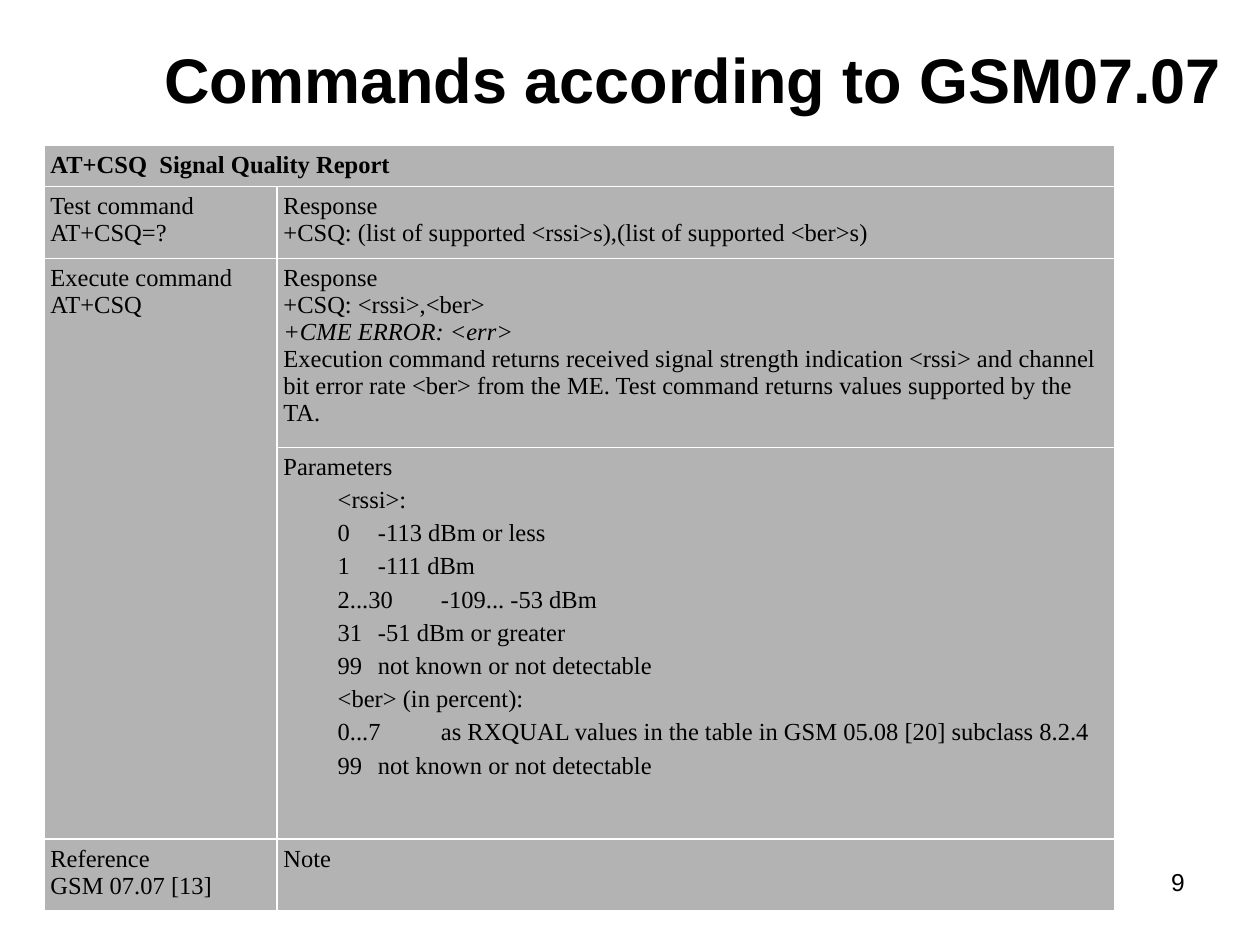
from dataclasses import dataclass

from lxml.etree import SubElement
from pptx import Presentation
from pptx.dml.color import RGBColor
from pptx.enum.text import MSO_ANCHOR, MSO_AUTO_SIZE, PP_ALIGN
from pptx.oxml.ns import qn
from pptx.util import Pt


@dataclass(frozen=True)
class Theme:
    ink: str = "000000"
    cell: str = "B3B3B3"
    border: str = "FFFFFF"
    title_size: float = 36
    text_size: float = 14
    border_width: float = 0.96
    heading_font: str = "Arial"
    table_font: str = "Times New Roman"


theme = Theme()


def write(frame, text, font=theme.table_font, size=theme.text_size, bold=False,
          italic=False, align=None, listed=False):
    """Put one paragraph into the frame, using its first one while empty."""
    first = frame.paragraphs[0]
    paragraph = frame.add_paragraph() if first.runs else first
    if align is not None:
        paragraph.alignment = align
    if listed:
        paragraph.level = 1
        paragraph.space_before = Pt(3.5)
        properties = paragraph._p.get_or_add_pPr()
        properties.set("marL", str(Pt(54)))
        properties.set("indent", str(Pt(-23)))
        SubElement(properties, qn("a:buNone"))
        stops = SubElement(properties, qn("a:tabLst"))
        for inch in range(8):
            SubElement(stops, qn("a:tab"), pos=str(Pt(72 * inch)), algn="l")
    run = paragraph.add_run()
    run.text = text
    run.font.name = font
    run.font.size = Pt(size)
    run.font.bold = bold
    run.font.italic = italic
    run.font.color.rgb = RGBColor.from_string(theme.ink)


def style_cell(cell):
    """Give a cell its margins, white borders and grey fill."""
    cell.margin_left = cell.margin_right = Pt(3.6)
    cell.margin_top = cell.margin_bottom = Pt(3.6)
    properties = cell._tc.get_or_add_tcPr()
    for side in ("lnL", "lnR", "lnT", "lnB"):
        line = SubElement(properties, qn(f"a:{side}"), w=str(Pt(theme.border_width)))
        fill = SubElement(line, qn("a:solidFill"))
        SubElement(fill, qn("a:srgbClr"), val=theme.border)
    cell.fill.solid()
    cell.fill.fore_color.rgb = RGBColor.from_string(theme.cell)


presentation = Presentation()
presentation.slide_width, presentation.slide_height = Pt(720), Pt(540)
slide = presentation.slides.add_slide(presentation.slide_layouts[5])

# Title
title = slide.shapes.title
title.left, title.top, title.width, title.height = Pt(72), Pt(0), Pt(648), Pt(90)
title.text_frame.auto_size = MSO_AUTO_SIZE.NONE
title.text_frame.vertical_anchor = MSO_ANCHOR.MIDDLE
write(title.text_frame, "Commands according to GSM07.07", font=theme.heading_font,
      size=theme.title_size, bold=True, align=PP_ALIGN.CENTER)

# Command table: column widths, row heights, merged areas
column_widths = (133.2, 478.8)
row_heights = (23.8, 41, 108, 224, 41)
commands = slide.shapes.add_table(
    len(row_heights), len(column_widths), Pt(25.2), Pt(82.8),
    Pt(sum(column_widths)), Pt(sum(row_heights))).table
for column, width in zip(commands.columns, column_widths):
    column.width = Pt(width)
for row, height in zip(commands.rows, row_heights):
    row.height = Pt(height)
for cell in commands.iter_cells():
    style_cell(cell)
commands.cell(0, 0).merge(commands.cell(0, 1))
commands.cell(2, 0).merge(commands.cell(3, 0))

# Command texts by row and column
plain, heading = {}, {"bold": True}
error, listed = {"italic": True}, {"listed": True}
command_texts = {
    (0, 0): [("AT+CSQ  Signal Quality Report", heading)],
    (1, 0): [("Test command", plain), ("AT+CSQ=?", plain)],
    (1, 1): [("Response", plain),
             ("+CSQ: (list of supported <rssi>s),(list of supported <ber>s)", plain)],
    (2, 0): [("Execute command", plain), ("AT+CSQ", plain)],
    (2, 1): [("Response", plain),
             ("+CSQ: <rssi>,<ber>", plain),
             ("+CME ERROR: <err>", error),
             ("Execution command returns received signal strength indication <rssi> "
              "and channel bit error rate <ber> from the ME. Test command returns "
              "values supported by the TA.", plain)],
    (3, 1): [("Parameters", plain),
             ("<rssi>:", listed),
             ("0\t‑113 dBm or less", listed),
             ("1\t‑111 dBm", listed),
             ("2...30\t‑109... ‑53 dBm", listed),
             ("31\t‑51 dBm or greater", listed),
             ("99\tnot known or not detectable", listed),
             ("<ber> (in percent):", listed),
             ("0...7\tas RXQUAL values in the table in GSM 05.08 [20] subclass 8.2.4",
              listed),
             ("99\tnot known or not detectable", listed)],
    (4, 0): [("Reference", plain), ("GSM 07.07 [13]", plain)],
    (4, 1): [("Note", plain)],
}
for (row, column), lines in command_texts.items():
    for text, text_format in lines:
        write(commands.cell(row, column).text_frame, text, **text_format)

# Page number
page_number = slide.shapes.add_textbox(Pt(516), Pt(492), Pt(168), Pt(37.5))
page_number.text_frame.word_wrap = True
write(page_number.text_frame, "9", font=theme.heading_font, align=PP_ALIGN.RIGHT)

presentation.save("out.pptx")
